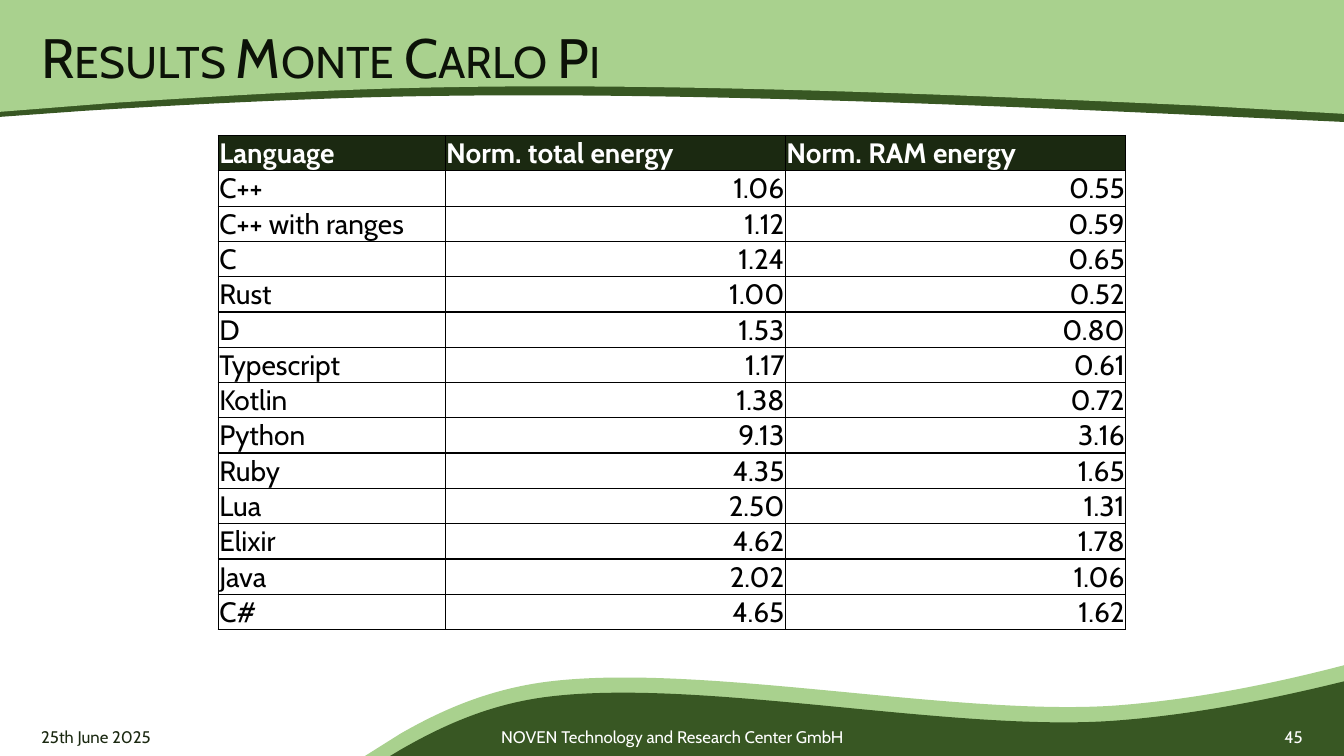
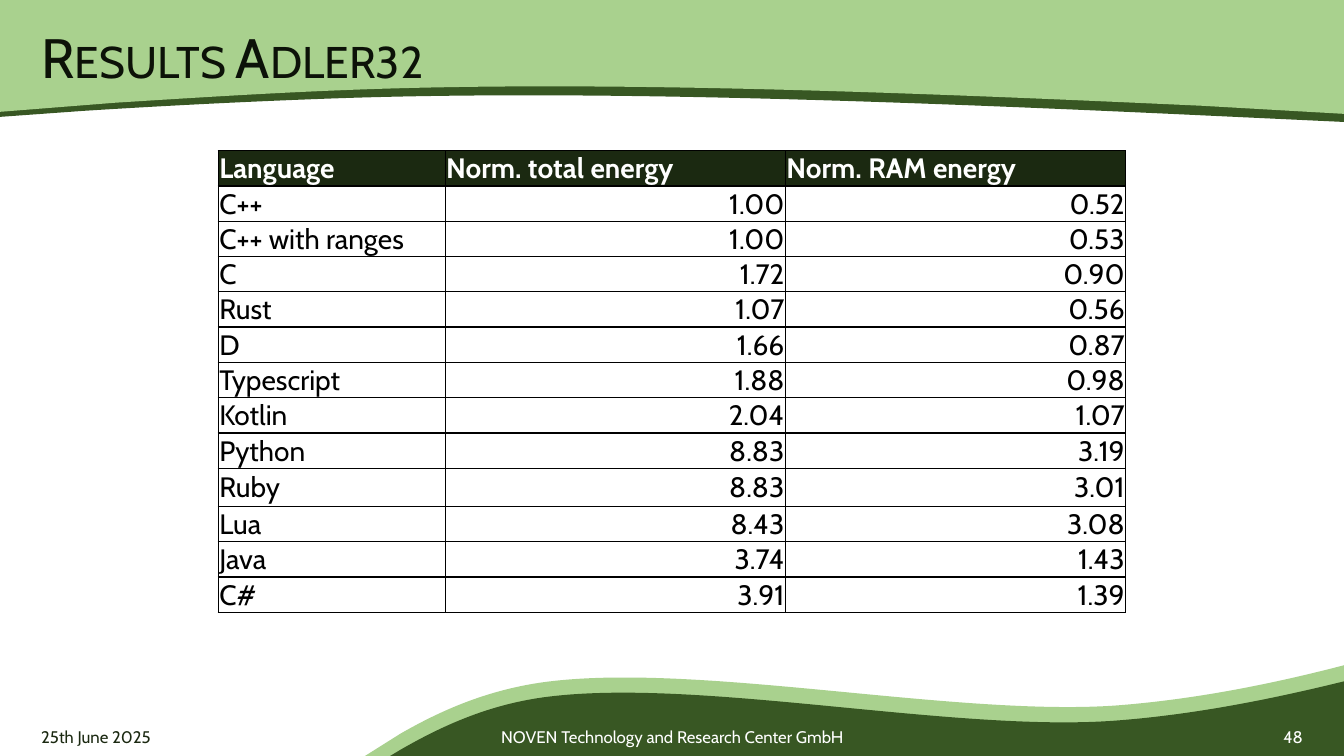
from lxml import etree
from pptx import Presentation
from pptx.dml.color import RGBColor
from pptx.enum.text import MSO_ANCHOR, PP_ALIGN
from pptx.oxml.ns import qn
from pptx.util import Inches, Pt

FONT = "Cabin"
DARK_GREEN = RGBColor(0x38, 0x57, 0x23)
LIGHT_GREEN = RGBColor(0xA9, 0xD1, 0x8E)
DEEP_GREEN = RGBColor(0x1B, 0x29, 0x11)
TITLE_INK = RGBColor(0x0C, 0x12, 0x08)
WHITE = RGBColor(0xFF, 0xFF, 0xFF)
BLACK = RGBColor(0, 0, 0)

WIDTH, HEIGHT = 13.33, 7.5
BAND_TOP = -0.03
DATE = "25th June 2025"
COMPANY = "NOVEN Technology and Research Center GmbH"
HEADINGS = ("Language", "Norm. total energy", "Norm. RAM energy")
TABLE_WIDTH, LANGUAGE_WIDTH = 9, 2.25
VALUE_WIDTH = (TABLE_WIDTH - LANGUAGE_WIDTH) / 2
COLUMN_WIDTHS = (LANGUAGE_WIDTH, VALUE_WIDTH, VALUE_WIDTH)
ROW_HEIGHT = 0.35

RESULTS = [
    {
        "title": "Results Monte Carlo Pi", "number": "45",
        "frame_height": 4.81, "tall_rows": {},
        "rows": [
            ("C++", "1.06", "0.55"),
            ("C++ with ranges", "1.12", "0.59"),
            ("C", "1.24", "0.65"),
            ("Rust", "1.00", "0.52"),
            ("D", "1.53", "0.80"),
            ("Typescript", "1.17", "0.61"),
            ("Kotlin", "1.38", "0.72"),
            ("Python", "9.13", "3.16"),
            ("Ruby", "4.35", "1.65"),
            ("Lua", "2.50", "1.31"),
            ("Elixir", "4.62", "1.78"),
            ("Java", "2.02", "1.06"),
            ("C#", "4.65", "1.62"),
        ],
    },
    {
        "title": "Results Adler32", "number": "48",
        "frame_height": 4.51, "tall_rows": {"Ruby": 0.38},
        "rows": [
            ("C++", "1.00", "0.52"),
            ("C++ with ranges", "1.00", "0.53"),
            ("C", "1.72", "0.90"),
            ("Rust", "1.07", "0.56"),
            ("D", "1.66", "0.87"),
            ("Typescript", "1.88", "0.98"),
            ("Kotlin", "2.04", "1.07"),
            ("Python", "8.83", "3.19"),
            ("Ruby", "8.83", "3.01"),
            ("Lua", "8.43", "3.08"),
            ("Java", "3.74", "1.43"),
            ("C#", "3.91", "1.39"),
        ],
    },
]

# Outlines: a pair is a straight step, six numbers are a Bézier step.
BANDS = [
    (DARK_GREEN, [(0, BAND_TOP), (WIDTH, BAND_TOP), (WIDTH, 1.21), (11.61, 1.13),
                  (8.56, 0.99, 5.63, 0.89, 3.22, 0.98),
                  (2.41, 1.01, 1.62, 1.05, 0.83, 1.1), (0, 1.16)]),
    (LIGHT_GREEN, [(0, BAND_TOP), (WIDTH, BAND_TOP), (WIDTH, 1.13), (11.92, 1.05),
                   (8.87, 0.91, 5.94, 0.8, 3.53, 0.89),
                   (2.72, 0.92, 1.93, 0.97, 1.14, 1.02), (0, 1.11)]),
    (LIGHT_GREEN, [(WIDTH, 6.6), (WIDTH, HEIGHT), (3.62, HEIGHT), (3.97, 7.28),
                   (4.37, 7.05, 4.82, 6.85, 5.38, 6.77),
                   (6.89, 6.56, 9.44, 7.11, 11.06, 7),
                   (11.86, 6.94, 12.64, 6.78, WIDTH, 6.6)]),
    (DARK_GREEN, [(WIDTH, 6.76), (WIDTH, HEIGHT), (3.87, HEIGHT), (3.97, 7.44),
                  (4.37, 7.21, 4.82, 7, 5.38, 6.92),
                  (6.89, 6.71, 9.44, 7.27, 11.06, 7.15),
                  (11.86, 7.09, 12.64, 6.93, WIDTH, 6.76)]),
]


def bend(band, outline):
    """Change the straight segments of Bézier steps into curves."""
    segments = list(band._element.iter(qn("a:lnTo")))
    for segment, step in zip(segments, outline[1:]):
        if len(step) == 2:
            continue
        segment.tag = qn("a:cubicBezTo")
        for position in (0, 1):
            x, y = step[2 * position:2 * position + 2]
            control = etree.Element(qn("a:pt"), x=str(Inches(x) - band.left),
                                    y=str(Inches(y) - band.top))
            segment.insert(position, control)


def add_band(slide, color, outline):
    points = [(Inches(step[-2]), Inches(step[-1])) for step in outline]
    builder = slide.shapes.build_freeform(*points[0])
    builder.add_line_segments(points[1:], close=True)
    band = builder.convert_to_shape()
    bend(band, outline)
    band.shadow.inherit = False
    band.fill.solid()
    band.fill.fore_color.rgb = color
    band.line.fill.background()


def write(frame, content, *, size, color, align=PP_ALIGN.LEFT, bold=False,
          small_caps=False, line_spacing=None):
    paragraph = frame.paragraphs[0]
    paragraph.alignment = align
    paragraph.line_spacing = line_spacing
    run = paragraph.add_run()
    run.text = content
    font = run.font
    font.name, font.size, font.bold = FONT, Pt(size), bold
    font.color.rgb = color
    if small_caps:
        run._r.get_or_add_rPr().set("cap", "small")


def add_text(slide, content, left, top, width, height, **text_format):
    box = slide.shapes.add_textbox(*map(Inches, (left, top, width, height)))
    box.text_frame.word_wrap = True
    box.text_frame.vertical_anchor = MSO_ANCHOR.MIDDLE
    write(box.text_frame, content, **text_format)


def add_borders(cell):
    properties = cell._tc.get_or_add_tcPr()
    for position, side in enumerate(("lnL", "lnR", "lnT", "lnB")):
        line = etree.Element(qn(f"a:{side}"), w=str(Pt(1)))
        fill = etree.SubElement(line, qn("a:solidFill"))
        etree.SubElement(fill, qn("a:srgbClr"), val=str(BLACK))
        properties.insert(position, line)


def add_result_table(slide, result):
    rows = [HEADINGS] + result["rows"]
    left = (WIDTH - TABLE_WIDTH) / 2
    top = (HEIGHT - result["frame_height"]) / 2
    table = slide.shapes.add_table(
        len(rows), len(HEADINGS), Inches(left), Inches(top),
        Inches(TABLE_WIDTH), Inches(result["frame_height"])).table
    table.horz_banding = False
    for column, width in zip(table.columns, COLUMN_WIDTHS):
        column.width = Inches(width)
    for row_index, values in enumerate(rows):
        height = result["tall_rows"].get(values[0], ROW_HEIGHT)
        table.rows[row_index].height = Inches(height)
        header = row_index == 0
        for column_index, value in enumerate(values):
            cell = table.cell(row_index, column_index)
            cell.margin_left = cell.margin_right = cell.margin_top = Inches(0.01)
            cell.margin_bottom = 0
            cell.vertical_anchor = MSO_ANCHOR.MIDDLE
            cell.fill.solid()
            cell.fill.fore_color.rgb = DEEP_GREEN if header else WHITE
            add_borders(cell)
            numeric = column_index > 0 and not header
            write(cell.text_frame, value, size=20, bold=header,
                  color=WHITE if header else BLACK,
                  align=PP_ALIGN.RIGHT if numeric else PP_ALIGN.LEFT)


def add_result_slide(presentation, result):
    slide = presentation.slides.add_slide(presentation.slide_layouts[6])
    for color, outline in BANDS:
        add_band(slide, color, outline)
    add_text(slide, result["title"], 0.31, 0.23, 12.71, 0.74, size=39.6,
             color=TITLE_INK, small_caps=True, line_spacing=0.9)
    footers = [
        (DATE, 0.31, 1.62, DEEP_GREEN, PP_ALIGN.LEFT),
        (COMPANY, 2.74, 7.86, WHITE, PP_ALIGN.CENTER),
        (result["number"], 11.67, 1.35, WHITE, PP_ALIGN.RIGHT),
    ]
    for content, left, width, color, align in footers:
        add_text(slide, content, left, 7.11, width, 0.4, size=12, color=color, align=align)
    add_result_table(slide, result)


def main():
    presentation = Presentation()
    presentation.slide_width, presentation.slide_height = Inches(WIDTH), Inches(HEIGHT)
    for result in RESULTS:
        add_result_slide(presentation, result)
    presentation.save("out.pptx")


if __name__ == "__main__":
    main()
